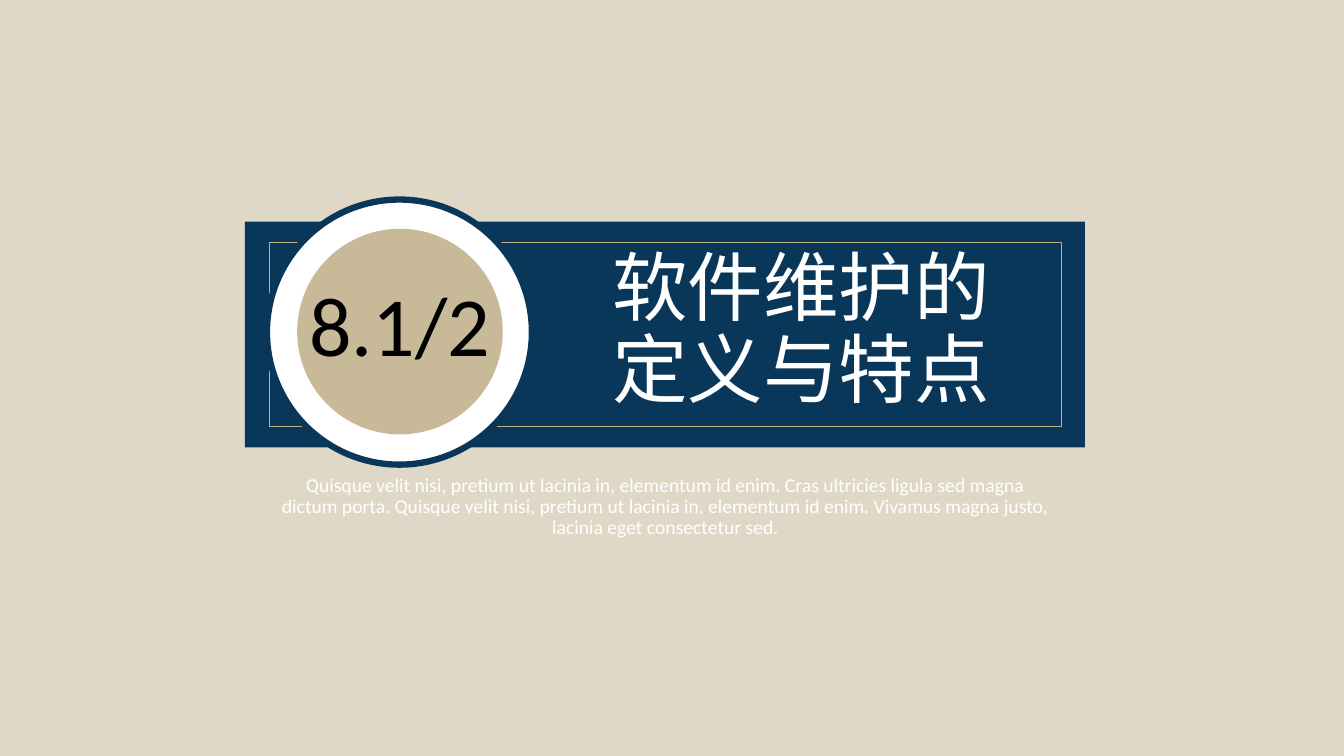
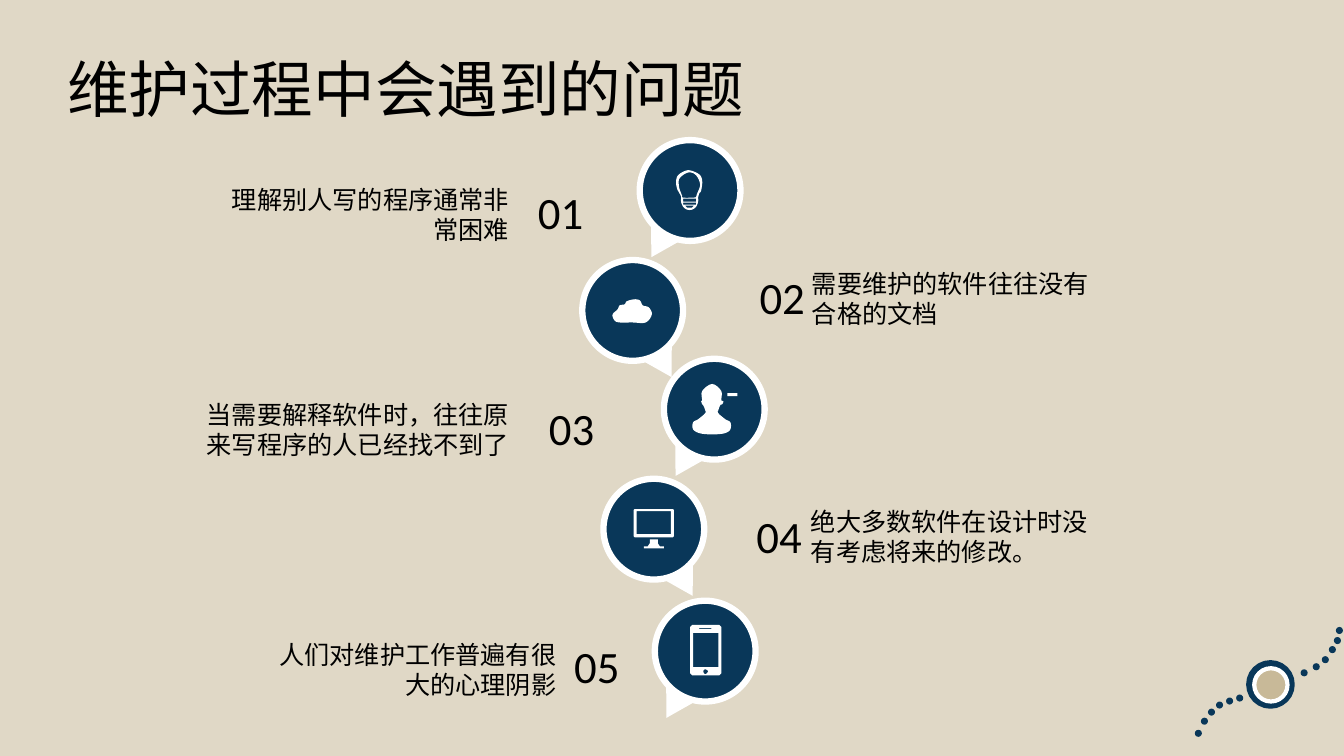
from pptx import Presentation
from pptx.dml.color import RGBColor
from pptx.enum.shapes import MSO_SHAPE
from pptx.enum.text import MSO_ANCHOR, PP_ALIGN
from pptx.util import Inches, Pt

FONT = "Calibri"
NAVY = RGBColor(0x09, 0x37, 0x59)
SAND = RGBColor(0xE0, 0xD8, 0xC6)
TAN = RGBColor(0xC8, 0xB9, 0x98)
OLIVE = RGBColor(0xBB, 0xB4, 0x87)
WHITE = RGBColor(0xFF, 0xFF, 0xFF)
BLACK = RGBColor(0, 0, 0)

SECTION_NUMBER = "8.1/2"
SECTION_TITLE = "软件维护的\v定义与特点"
SECTION_NOTE = (
    "Quisque velit nisi, pretium ut lacinia in, elementum id enim. "
    "Cras ultricies ligula sed magna dictum porta. Quisque velit nisi, "
    "pretium ut lacinia in, elementum id enim. Vivamus magna justo, "
    "lacinia eget consectetur sed."
)
PROBLEMS_TITLE = "维护过程中会遇到的问题"


def rect(left, top, right, bottom):
    return [(left, top), (right, top), (right, bottom), (left, bottom)]


def rounded(points, steps=4):
    """Closed Catmull-Rom curve through the points, as a fine polygon."""
    curve = []
    for i, b in enumerate(points):
        a, c, d = points[i - 1], points[(i + 1) % len(points)], points[(i + 2) % len(points)]
        for step in range(steps):
            t = step / steps
            curve.append(tuple(
                b[k] + t / 2 * (c[k] - a[k]
                                + t * (2 * a[k] - 5 * b[k] + 4 * c[k] - d[k])
                                + t * t * (3 * b[k] - a[k] - 3 * c[k] + d[k]))
                for k in (0, 1)))
    return curve


# Each icon is a list of outlines; points are hundredths of an inch inside its bubble.
BULB = [
    rounded([(50, 30), (59, 34), (62, 40), (61, 50), (59, 53), (58, 57), (58, 61), (56, 66),
             (52, 69), (47, 69), (43, 66), (41, 61), (41, 56), (39, 52), (37, 48), (36, 41),
             (38, 35), (44, 31)]),
    rounded([(43, 57), (54, 57), (56, 56), (57, 53), (60, 44), (56, 35), (50, 32), (44, 34),
             (39, 39), (39, 46), (40, 50), (42, 55)]),
    rect(43, 58, 56, 61),
    rect(43, 62, 56, 64),
    [(45, 65), (54, 65), (52, 67), (47, 67)],
]
CLOUD = [rounded([(35, 49), (30, 54), (32, 60), (37, 62), (50, 62), (63, 62), (69, 54),
                  (66, 47), (60, 45), (57, 40), (51, 39), (44, 41), (42, 44), (37, 45)])]
PERSON = [
    rounded([(61, 60), (54, 54), (54, 51), (56, 46), (58, 45), (59, 42), (57, 41), (57, 32),
             (48, 25), (38, 32), (38, 41), (37, 42), (38, 45), (39, 46), (41, 51), (41, 54),
             (34, 60), (29, 63), (29, 70), (36, 74), (48, 75), (60, 74), (66, 70), (66, 63)]),
    rect(63, 34, 73, 37),
]
MONITOR = [
    [(31, 30), (69, 30), (70, 31), (70, 57), (69, 58), (31, 58), (30, 57), (30, 31)],
    rect(33, 32, 67, 55),
    [(46, 60), (54, 60), (54, 64), (56, 67), (60, 67), (60, 69), (40, 69), (40, 67),
     (44, 67), (46, 64)],
]
PHONE = [
    [(37, 24), (64, 24), (66, 26), (66, 72), (64, 74), (37, 74), (35, 72), (35, 26)],
    rect(38, 32, 63, 66),
    rect(44, 27, 56, 28),
    rounded([(50, 68), (53, 70), (50, 73), (48, 70)]),
]

# wording, icon, bubble (left, top), number (left, top), wording (left, top, width)
PROBLEMS = [
    ("理解别人写的程序通常非常困难", BULB, (6.35, 1.39), (5.24, 1.78), (1.97, 1.78, 3.18)),
    ("需要维护的软件往往没有合格的文档", CLOUD, (5.78, 2.58), (7.44, 2.63), (7.96, 2.61, 3.18)),
    ("当需要解释软件时，往往原来写程序的人已经找不到了", PERSON,
     (6.59, 3.56), (5.35, 3.93), (1.89, 3.91, 3.26)),
    ("绝大多数软件在设计时没有考虑将来的修改。", MONITOR,
     (5.99, 4.75), (7.41, 5.0), (7.95, 4.97, 3.19)),
    ("人们对维护工作普遍有很大的心理阴影", PHONE, (6.5, 5.96), (5.6, 6.29), (2.43, 6.29, 3.19)),
]
ORNAMENT_DOTS = [
    (11.86, 7.24), (11.92, 7.12), (11.99, 7.03), (12.07, 6.96), (12.17, 6.92), (12.27, 6.89),
    (12.91, 6.64), (13.03, 6.58), (13.12, 6.51), (13.19, 6.41), (13.24, 6.32), (13.26, 6.22),
]


def paint(shape, fill=None, line=None, weight=0):
    shape.shadow.inherit = False
    if fill is None:
        shape.fill.background()
    else:
        shape.fill.solid()
        shape.fill.fore_color.rgb = fill
    if line is None:
        shape.line.fill.background()
    else:
        shape.line.color.rgb = line
        shape.line.width = Pt(weight)


def add_shape(page, kind, area, fill=None, line=None, weight=0):
    shape = page.shapes.add_shape(kind, *map(Inches, area))
    paint(shape, fill, line, weight)
    return shape


def add_text(page, words, area, size, color=BLACK, align=PP_ALIGN.LEFT,
             anchor=MSO_ANCHOR.TOP, spacing=1.0):
    frame = page.shapes.add_textbox(*map(Inches, area)).text_frame
    frame.word_wrap = True
    frame.vertical_anchor = anchor
    frame.text = words
    para = frame.paragraphs[0]
    para.alignment = align
    para.line_spacing = spacing
    for span in para.runs:
        span.font.name = FONT
        span.font.size = Pt(size)
        span.font.color.rgb = color


def add_icon(page, outlines, left, top):
    fine = [[(x * 10, y * 10) for x, y in outline] for outline in outlines]
    builder = page.shapes.build_freeform(*fine[0][0], scale=Inches(1) / 1000)
    for outline in fine:
        builder.move_to(*outline[0])
        builder.add_line_segments(outline[1:], close=True)
    paint(builder.convert_to_shape(Inches(left), Inches(top)), WHITE)


def add_bubble(page, icon, left, top, tail_left):
    add_shape(page, MSO_SHAPE.OVAL, (left, top, 1, 1), NAVY, WHITE, 4.5)
    tail_offset = 0.02 if tail_left else 0.65
    tail = add_shape(page, MSO_SHAPE.ISOSCELES_TRIANGLE,
                     (left + tail_offset, top + 0.9, 0.33, 0.28), WHITE)
    tail.rotation = 210 if tail_left else 150
    add_icon(page, icon, left, top)


def add_ornament(page):
    for left, top in ORNAMENT_DOTS:
        add_shape(page, MSO_SHAPE.OVAL, (left, top, 0.07, 0.07), NAVY)
    add_shape(page, MSO_SHAPE.OVAL, (12.4, 6.58, 0.42, 0.42), WHITE, NAVY, 4.5)
    add_shape(page, MSO_SHAPE.OVAL, (12.45, 6.63, 0.33, 0.33), TAN, WHITE, 3)


def build_section(page):
    centred = {"align": PP_ALIGN.CENTER, "spacing": 0.9}
    add_shape(page, MSO_SHAPE.RECTANGLE, (2.43, 2.2, 8.34, 2.24), NAVY)
    add_shape(page, MSO_SHAPE.RECTANGLE, (2.67, 2.4, 7.87, 1.83), line=OLIVE, weight=0.5)
    add_shape(page, MSO_SHAPE.OVAL, (2.65, 1.98, 2.63, 2.63), WHITE, NAVY, 4.5)
    add_shape(page, MSO_SHAPE.OVAL, (2.95, 2.27, 2.04, 2.04), TAN)
    add_text(page, SECTION_NOTE, (2.67, 4.67, 7.87, 1.64), 14, WHITE, **centred)
    add_text(page, SECTION_TITLE, (5.21, 2.6, 5.48, 1.39), 54, WHITE,
             anchor=MSO_ANCHOR.MIDDLE, **centred)
    add_text(page, SECTION_NUMBER, (2.95, 2.22, 2.04, 2.09), 60,
             anchor=MSO_ANCHOR.MIDDLE, **centred)


def build_problems(page):
    add_ornament(page)
    add_text(page, PROBLEMS_TITLE, (0.57, 0.49, 7.03, 0.85), 44,
             anchor=MSO_ANCHOR.MIDDLE, spacing=0.9)
    numbered = list(enumerate(PROBLEMS, 1))
    # Even bubbles lie behind the odd ones.
    for number, (words, icon, bubble, number_at, words_at) in numbered[1::2] + numbered[::2]:
        odd = number % 2 == 1
        add_bubble(page, icon, *bubble, tail_left=odd)
        left, top, width = words_at
        add_text(page, words, (left, top, width, 0.7), 18,
                 align=PP_ALIGN.RIGHT if odd else PP_ALIGN.LEFT)
        add_text(page, f"{number:02}", (*number_at, 0.88, 0.64), 32)


def main():
    deck = Presentation()
    deck.slide_width, deck.slide_height = Inches(13.34), Inches(7.5)
    background = deck.slide_master.background.fill
    background.solid()
    background.fore_color.rgb = SAND
    for build in (build_section, build_problems):
        build(deck.slides.add_slide(deck.slide_layouts[6]))
    deck.save("out.pptx")


if __name__ == "__main__":
    main()
